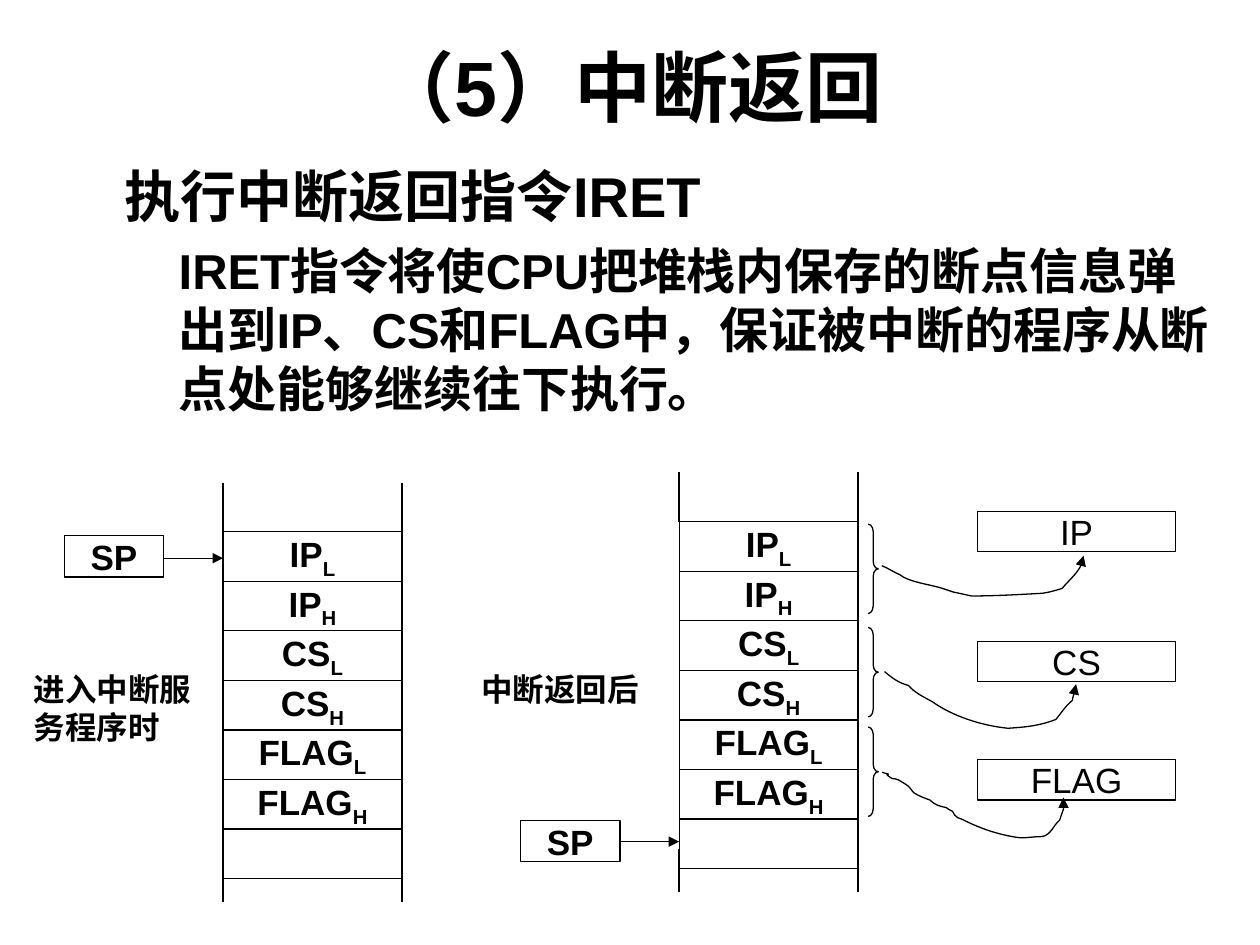
from dataclasses import dataclass
from pptx import Presentation
from pptx import util as u
from pptx.dml import color
from pptx.enum import shapes, text
from pptx.oxml import ns, xmlchemy as xml


@dataclass(frozen=True)
class Theme:
    font: str = "Arial"
    ink: color.RGBColor = color.RGBColor(0, 0, 0)
    title: int = 44
    head: int = 32
    body: int = 28
    cell: int = 20
    note: int = 18
    line: float = 0.75


THEME = Theme()
PITCH = 2.36 / 6
WIDE = 1.42
ROWS = [(name, part) for name in ("IP", "CS", "FLAG") for part in "LH"]
CURVES = [
    [(7, 4.49), (7.05, 4.51), (7.09, 4.54), (7.14, 4.56), (7.21, 4.62),
     (7.39, 4.64), (7.48, 4.67), (7.51, 4.68), (7.54, 4.69), (7.57, 4.7),
     (7.62, 4.71), (7.71, 4.73), (7.71, 4.73), (7.89, 4.73), (8.07, 4.72),
     (8.25, 4.71), (8.31, 4.71), (8.43, 4.67), (8.43, 4.67), (8.49, 4.6),
     (8.6, 4.51), (8.6, 4.41)],
    [(7.02, 5.33), (7.08, 5.38), (7.13, 5.42), (7.21, 5.44), (7.26, 5.5),
     (7.33, 5.53), (7.4, 5.57), (7.57, 5.69), (7.8, 5.76), (8, 5.78),
     (8.15, 5.77), (8.25, 5.76), (8.38, 5.71), (8.43, 5.65), (8.45, 5.61),
     (8.51, 5.56), (8.52, 5.51), (8.54, 5.47), (8.54, 5.43)],
    [(7, 6.13), (7.13, 6.17), (6.97, 6.11), (7.08, 6.18), (7.09, 6.18),
     (7.11, 6.18), (7.13, 6.19), (7.23, 6.25), (7.2, 6.23), (7.25, 6.29),
     (7.29, 6.32), (7.38, 6.35), (7.38, 6.35), (7.42, 6.39), (7.46, 6.4),
     (7.51, 6.41), (7.52, 6.42), (7.54, 6.43), (7.56, 6.44), (7.57, 6.46),
     (7.58, 6.48), (7.6, 6.49), (7.62, 6.5), (7.64, 6.5), (7.65, 6.51),
     (7.79, 6.58), (7.94, 6.63), (8.1, 6.65), (8.15, 6.65), (8.21, 6.64),
     (8.27, 6.64), (8.34, 6.63), (8.36, 6.55), (8.41, 6.51), (8.45, 6.39),
     (8.44, 6.45), (8.44, 6.33)],
]


def inch(*vals):
    return [u.Inches(val) for val in vals]


def add_run(para, words, size, bold=True, sub=False):
    run = para.add_run()
    run.text = words
    run.font.name = THEME.font
    run.font.size = u.Pt(size)
    run.font.bold = bold
    run.font.color.rgb = THEME.ink
    if sub:
        run._r.get_or_add_rPr().set("baseline", "-25000")


def set_frame(frame, pad=0, wrap=True, mid=False):
    frame.margin_left = frame.margin_right = u.Inches(pad)
    frame.margin_top = frame.margin_bottom = u.Inches(pad / 2)
    frame.word_wrap = wrap
    anchor = text.MSO_ANCHOR
    frame.vertical_anchor = anchor.MIDDLE if mid else anchor.TOP


def add_text(slide, at, words, size, pad=0, mid=False):
    frame = slide.shapes.add_textbox(*inch(*at)).text_frame
    set_frame(frame, pad, mid=mid)
    para = frame.paragraphs[0]
    add_run(para, words, size)
    return frame


def style(shape, tip=False):
    shape.line.color.rgb = THEME.ink
    shape.line.width = u.Pt(THEME.line)
    if tip:
        end = xml.OxmlElement("a:tailEnd")
        end.set("type", "triangle")
        shape.line._get_or_add_ln().append(end)


def add_form(slide, kind, at):
    form = slide.shapes.add_shape(kind, *inch(*at))
    form.shadow.inherit = False
    form.fill.background()
    style(form)
    return form


def add_box(slide, at, words="", sub="", bold=True):
    box = add_form(slide, shapes.MSO_SHAPE.RECTANGLE, at)
    if words:
        set_frame(box.text_frame, wrap=False, mid=True)
        para = box.text_frame.paragraphs[0]
        para.alignment = text.PP_ALIGN.CENTER
        add_run(para, words, THEME.cell, bold)
        if sub:
            add_run(para, sub, THEME.cell, bold, sub=True)


def add_line(slide, start, end, tip=False):
    kind = shapes.MSO_CONNECTOR.STRAIGHT
    line = slide.shapes.add_connector(kind, *inch(*start, *end))
    style(line, tip)
    line._element.spPr.append(xml.OxmlElement("a:effectLst"))


def add_curve(slide, pts):
    unit = u.Inches(0.01)
    spots = [(round(x * 100), round(y * 100)) for x, y in pts]
    pen = slide.shapes.build_freeform(*spots[0], scale=unit)
    pen.add_line_segments(spots[1:], close=False)
    curve = pen.convert_to_shape()
    path = curve._element.find(".//" + ns.qn("a:path"))
    legs = path.findall(ns.qn("a:lnTo"))
    for i in range(0, len(legs), 3):
        arc = xml.OxmlElement("a:cubicBezTo")
        for leg in legs[i:i + 3]:
            arc.append(leg[0])
            path.remove(leg)
        path.append(arc)
    curve.shadow.inherit = False
    curve.fill.background()
    style(curve, tip=True)


def add_stack(slide, x, y, sp, aim):
    for i, (name, part) in enumerate(ROWS):
        add_box(slide, (x, y + i * PITCH, WIDE, PITCH), name, part)
    add_box(slide, (x, y + len(ROWS) * PITCH, WIDE, PITCH))
    for side, drop in ((x, 0), (x + WIDE, 0.08)):
        add_line(slide, (side, y - 0.39), (side, y + drop))
        add_line(slide, (side, y + 2.6), (side, y + 2.94))
    add_box(slide, (x - 1.26, sp, 0.79, 0.33), "SP")
    add_line(slide, (x - 0.47, aim), (x, aim), tip=True)


def add_body(slide):
    at = (0.51, 1.23, 9.28, 5.67)
    frame = add_text(slide, at, "执行中断返回指令IRET", THEME.head, 0.1)
    para = frame.add_paragraph()
    para.space_before = u.Pt(7)
    add_run(para, "IRET指令将使CPU把堆栈内保存的断点信息弹出到IP、CS和FLAG中，"
            "保证被中断的程序从断点处能够继续往下执行。", THEME.body)
    for item, left in zip(frame.paragraphs, (0.38, 0.81)):
        props = item._p.get_or_add_pPr()
        props.set("marL", str(u.Inches(left)))
        props.set("indent", "0")


def main():
    deck = Presentation()
    deck.slide_width, deck.slide_height = inch(10, 7.5)
    slide = deck.slides.add_slide(deck.slide_layouts[6])
    at = (0.75, 0.21, 8.5, 0.94)
    title = add_text(slide, at, "（5）中断返回", THEME.title, 0.1, mid=True)
    title.paragraphs[0].alignment = text.PP_ALIGN.CENTER
    add_body(slide)
    add_stack(slide, 1.77, 4.22, 4.25, 4.43)
    add_stack(slide, 5.39, 4.14, 6.51, 6.68)
    regs = (("IP", 4.06, 4.16), ("CS", 5.09, 4.98), ("FLAG", 6.03, 5.77))
    for (name, top, low), pts in zip(regs, CURVES):
        add_box(slide, (7.76, top, 1.57, 0.32), name, bold=False)
        kind = shapes.MSO_SHAPE.RIGHT_BRACE
        brace = add_form(slide, kind, (6.89, low, 0.08, 0.71))
        brace.adjustments[0] = 0.75
        add_curve(slide, pts)
    add_text(slide, (0.27, 5.32, 1.26, 0.6), "进入中断服务程序时", THEME.note)
    add_text(slide, (3.82, 5.32, 1.26, 0.3), "中断返回后", THEME.note)
    deck.save("out.pptx")


if __name__ == "__main__":
    main()
